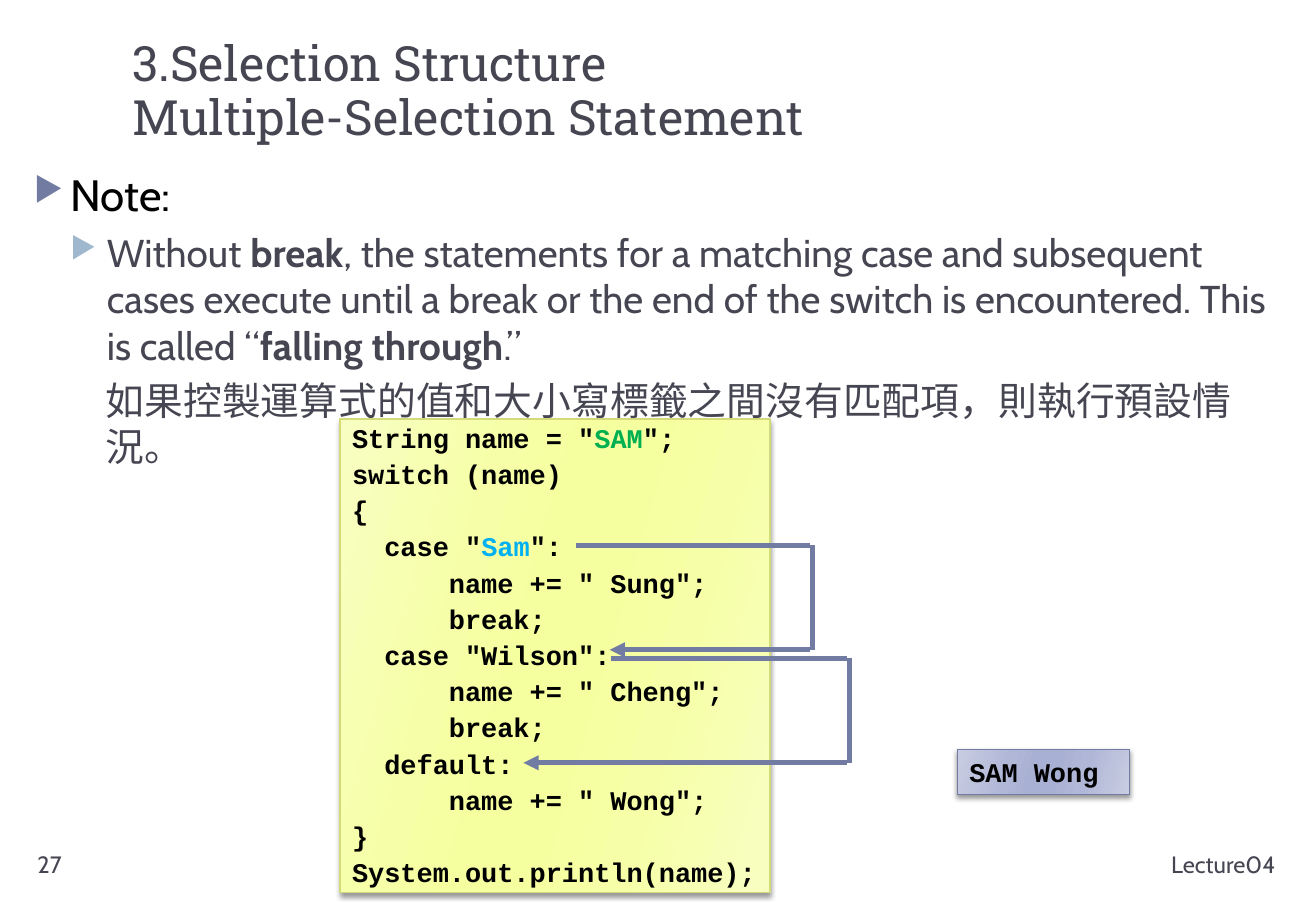
from lxml import etree
from pptx import Presentation
from pptx.dml.color import RGBColor
from pptx.enum.shapes import MSO_CONNECTOR, MSO_SHAPE
from pptx.enum.text import MSO_ANCHOR, PP_ALIGN
from pptx.oxml.ns import qn
from pptx.util import Pt

LEFT, RIGHT = PP_ALIGN.LEFT, PP_ALIGN.RIGHT
TOP, BOTTOM = MSO_ANCHOR.TOP, MSO_ANCHOR.BOTTOM
RECTANGLE, STRAIGHT = MSO_SHAPE.RECTANGLE, MSO_CONNECTOR.STRAIGHT

SLATE, INK, BLACK = "464653", "727CA3", "000000"
HEADING, BODY, CODE = "Roboto Slab", "Cabin", "Courier New"
STOP_POSITIONS = (0, 30, 45, 55, 73, 100)

CODE_LINES = [
    [("String name = \"", {}), ("SAM", {"color": "00B050"}), ("\";", {})],
    "switch (name)",
    "{",
    [("  case \"", {}), ("Sam", {"color": "00B0F0"}), ("\":", {})],
    "      name += \" Sung\";",
    "      break;",
    "  case \"Wilson\":",
    "      name += \" Cheng\";",
    "      break;",
    "  default:",
    "      name += \" Wong\";",
    "}",
    "System.out.println(name);",
]
FALLING_THROUGH = [
    ("Without ", {}),
    ("break", {"bold": True}),
    (", the statements for a matching case and subsequent cases execute until "
     "a break or the end of the switch is encountered. This is called “", {}),
    ("falling through", {"bold": True}),
    (".”", {}),
]


def rgb(value):
    return RGBColor.from_string(value)


def add_xml(parent, tag, **attributes):
    child = etree.SubElement(parent, qn(tag))
    for name, value in attributes.items():
        child.set(name, str(value))
    return child


def write(paragraph, text, size=16, font=BODY, color=SLATE, bold=False):
    run = paragraph.add_run()
    run.text = text
    run.font.size = Pt(size)
    run.font.name = font
    run.font.bold = bold
    run.font.color.rgb = rgb(color)


def add_bullet(paragraph, color):
    properties = paragraph._p.get_or_add_pPr()
    add_xml(add_xml(properties, "a:buClr"), "a:srgbClr", val=color)
    add_xml(properties, "a:buSzPct", val=76000)
    add_xml(properties, "a:buChar", char="▶")


def add_line(frame, content, bullet=None, margin=0, hanging=0, before=0,
             spacing=None, align=LEFT, level=0, **style):
    """Append a paragraph; content is a string or (text, own style) pairs."""
    first = frame.paragraphs[0]
    is_first = not first.runs
    paragraph = first if is_first else frame.add_paragraph()
    properties = paragraph._p.get_or_add_pPr()
    properties.set("marL", str(Pt(margin)))
    properties.set("indent", str(Pt(-hanging)))
    if bullet:
        add_bullet(paragraph, bullet)
    paragraph.level = level
    paragraph.alignment = align
    if not is_first:
        paragraph.space_before = Pt(before)
    if spacing:
        paragraph.line_spacing = spacing
    pieces = [(content, {})] if isinstance(content, str) else content
    for text, own_style in pieces:
        write(paragraph, text, **{**style, **own_style})
    return paragraph


def add_text_area(slide, left, top, width, height, anchor=TOP):
    frame = slide.shapes.add_textbox(
        Pt(left), Pt(top), Pt(width), Pt(height)).text_frame
    frame.word_wrap = True
    frame.vertical_anchor = anchor
    return frame


def add_soft_shadow(shape):
    shape.shadow.inherit = False
    effects = shape._element.spPr.find(qn("a:effectLst"))
    shadow = add_xml(effects, "a:outerShdw", blurRad=Pt(3), dist=Pt(2),
                     dir=5400000, rotWithShape=0)
    add_xml(add_xml(shadow, "a:srgbClr", val=BLACK), "a:alpha", val=40000)


def fill_with_sheen(shape, edge, inner, middle):
    """Fill with a slanted gradient that mirrors around its middle colour."""
    shape.fill.gradient()
    shape.fill.gradient_angle = 344
    stops = shape._element.spPr.find(".//" + qn("a:gsLst"))
    for stop in list(stops):
        stops.remove(stop)
    colors = (edge, inner, middle, middle, inner, edge)
    for position, color in zip(STOP_POSITIONS, colors):
        stop = add_xml(stops, "a:gs", pos=position * 1000)
        add_xml(stop, "a:srgbClr", val=color)


def add_code_box(slide, left, top, width, height, lines, sheen, border):
    box = slide.shapes.add_shape(
        RECTANGLE, Pt(left), Pt(top), Pt(width), Pt(height))
    fill_with_sheen(box, *sheen)
    box.line.color.rgb = rgb(border)
    box.line.width = Pt(0.75)
    add_soft_shadow(box)
    frame = box.text_frame
    frame.word_wrap = True
    frame.vertical_anchor = TOP
    spacing = 0.9 if len(lines) > 1 else None
    for line in lines:
        add_line(frame, line, before=4.2, spacing=spacing,
                 font=CODE, color=BLACK, bold=True)


def add_rule(slide, start, end, arrow=False):
    rule = slide.shapes.add_connector(
        STRAIGHT, *(Pt(value) for value in (*start, *end)))
    rule.line.color.rgb = rgb(INK)
    rule.line.width = Pt(3)
    properties = rule._element.spPr
    if arrow:
        add_xml(properties.find(qn("a:ln")), "a:tailEnd", type="triangle")
    add_xml(properties, "a:effectLst")


def add_jump(slide, start_x, start_y, side_x, end_x, end_y):
    """Draw a flow that leaves to the right, drops and returns as an arrow."""
    corner_x = side_x - 1.5
    add_rule(slide, (start_x, start_y), (corner_x, start_y))
    add_rule(slide, (side_x, start_y), (side_x, end_y))
    add_rule(slide, (corner_x, end_y), (end_x, end_y), arrow=True)


def main():
    deck = Presentation()
    deck.slide_width, deck.slide_height = Pt(780), Pt(540)
    slide = deck.slides.add_slide(deck.slide_layouts[6])

    title = add_text_area(slide, 71.3, 12.2, 687.6, 77.8, anchor=BOTTOM)
    heading_style = {"size": 28.8, "font": HEADING}
    heading = add_line(title, "3.Selection Structure", spacing=0.92,
                       **heading_style)
    heading.add_line_break()
    write(heading, "Multiple-Selection Statement", **heading_style)

    page_number = add_text_area(slide, 15.1, 500.4, 169.2, 28.8)
    add_line(page_number, "27", size=14)

    note = add_text_area(slide, 13, 95.8, 747.4, 401.8)
    add_line(note, "Note:", bullet=INK, margin=21.6, hanging=21.6,
             size=26, color=BLACK)
    add_line(note, FALLING_THROUGH, bullet="9FB8CD", margin=43.2,
             hanging=21.6, before=5, level=1, size=23)
    add_line(note, "如果控製運算式的值和大小寫標籤之間沒有匹配項，則執行預設情況。",
             margin=42.5, before=5, level=1, size=23)

    lecture = add_text_area(slide, 568.1, 500.4, 195.1, 28.8)
    add_line(lecture, "Lecture04", align=RIGHT, size=14)

    add_code_box(slide, 201.6, 248.4, 254.9, 280.8, CODE_LINES,
                 ("F8FEC2", "F6FFA7", "F6FF9F"), "D2DA7A")
    add_code_box(slide, 567.4, 444.2, 102.2, 26.6, ["SAM Wong"],
                 ("C9CDE2", "B1B7D7", "A8B0D3"), INK)

    add_jump(slide, 341.3, 323.3, 481.7, 361.4, 385.2)
    add_jump(slide, 362.2, 390.2, 503.3, 310.3, 452.2)

    deck.save("out.pptx")


if __name__ == "__main__":
    main()
